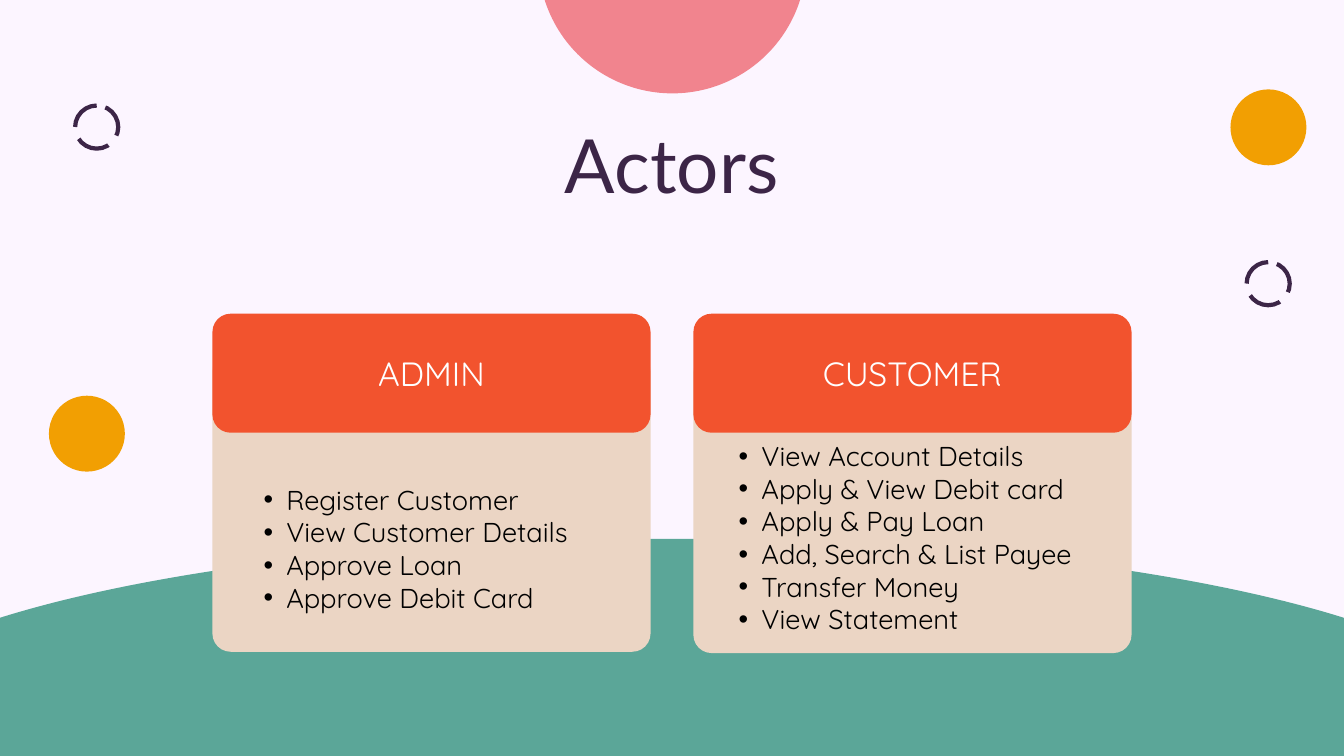
from lxml import etree
from pptx import Presentation, util as u
from pptx.dml.color import RGBColor
from pptx.enum import dml, shapes, text
from pptx.oxml.ns import qn

INK, CREAM, ORANGE, GREEN = "3C2547", "EBD5C4", "F2532E", "5BA698"
PINK, YELLOW, LILAC = "F1848E", "F29F02", "FCF5FF"
CORNER = 0.69


def paint(target, colour):
    """Give a fill or a line's fill one solid colour."""
    target.solid()
    target.fore_color.rgb = RGBColor.from_string(colour)


def place(box, left, top, width, height):
    box.left, box.top = u.Cm(left), u.Cm(top)
    box.width, box.height = u.Cm(width), u.Cm(height)


def add_filled(page, kind, bounds, colour):
    shape = page.shapes.add_shape(kind, *map(u.Cm, bounds))
    shape.shadow.inherit = False
    paint(shape.fill, colour)
    shape.line.fill.background()
    return shape


def add_circle(page, left, top, size, colour):
    add_filled(page, shapes.MSO_SHAPE.OVAL, (left, top, size, size), colour)


def add_ring(page, left, top, size):
    """Dashed circle whose dashes run anticlockwise from the top."""
    ring = page.shapes.add_shape(shapes.MSO_SHAPE.OVAL,
                                 *map(u.Cm, (left, top, size, size)))
    ring.shadow.inherit = False
    ring.fill.background()
    paint(ring.line.fill, INK)
    ring.line.width = u.Pt(4.5)
    ring.line.dash_style = dml.MSO_LINE.LONG_DASH
    ring.element.spPr.find(qn("a:xfrm")).set("flipH", "1")
    ring.rotation = 270


def add_panel(page, bounds, colour):
    panel = add_filled(page, shapes.MSO_SHAPE.ROUNDED_RECTANGLE, bounds, colour)
    panel.adjustments[0] = CORNER / bounds[3]
    return panel


def prepare_frame(box, anchor):
    frame = box.text_frame
    frame.word_wrap = True
    frame.auto_size = text.MSO_AUTO_SIZE.NONE
    frame.vertical_anchor = anchor
    frame.margin_left = frame.margin_right = 0
    frame.margin_top = frame.margin_bottom = 0
    return frame


def write(para, words, font, size, colour, spacing, align):
    para.alignment = align
    para.line_spacing = u.Pt(spacing)
    para.space_before = u.Pt(0)
    span = para.add_run()
    span.text = words
    span.font.name = font
    span.font.size = u.Pt(size)
    span.font.color.rgb = RGBColor.from_string(colour)


def add_bullet(para):
    para.level = 1
    props = para._p.get_or_add_pPr()
    props.set("marL", str(u.Cm(1.75)))
    props.set("indent", str(u.Cm(-0.86)))
    etree.SubElement(props, qn("a:buFont")).set("typeface", "Arial")
    etree.SubElement(props, qn("a:buChar")).set("char", "•")


def bring_to_front(box):
    box.element.getparent().append(box.element)


def fill_title(box, words):
    place(box, 4.7, 4.78, 41.38, 3.2)
    frame = prepare_frame(box, text.MSO_ANCHOR.TOP)
    write(frame.paragraphs[0], words, "Lato", 80, INK, 88, text.PP_ALIGN.CENTER)
    bring_to_front(box)


def add_actor_card(page, left, top, heading, body_drop, body, list_at, items):
    """Card with an orange heading and a list placed relative to its corner."""
    width = 16.56
    add_panel(page, (left, top + body_drop, width, 11.3), CREAM)
    header = add_panel(page, (left, top, width, 4.5), ORANGE)
    frame = prepare_frame(header, text.MSO_ANCHOR.MIDDLE)
    write(frame.paragraphs[0], heading, "Quicksand", 36, "FFFFFF", 43.2,
          text.PP_ALIGN.CENTER)

    indent, drop = list_at
    place(body, left + indent, top + drop, 14.91, 1.23 * len(items))
    frame = prepare_frame(body, text.MSO_ANCHOR.TOP)
    for index, item in enumerate(items):
        para = frame.add_paragraph() if index else frame.paragraphs[0]
        add_bullet(para)
        write(para, item, "Quicksand", 29.2, "000000", 35, text.PP_ALIGN.LEFT)
    bring_to_front(body)


def add_decorations(page):
    add_circle(page, 20.35, -6.6, 10.13, PINK)
    for left, top in ((1.85, 14.96), (46.51, 3.38)):
        add_circle(page, left, top, 2.87, YELLOW)
    for left, top in ((2.84, 3.99), (47.12, 9.91)):
        add_ring(page, left, top, 1.63)


def main():
    deck = Presentation()
    deck.slide_width, deck.slide_height = u.Cm(50.8), u.Cm(28.58)
    page = deck.slides.add_slide(deck.slide_layouts.get_by_name("Two Content"))
    paint(page.background.fill, LILAC)
    title, admin, customer = page.placeholders

    add_filled(page, shapes.MSO_SHAPE.OVAL, (-6.38, 20.37, 63.55, 14.96), GREEN)
    add_actor_card(page, 8.03, 11.86, "ADMIN", 1.48, admin, (1.04, 6.4), [
        "Register Customer", "View Customer Details",
        "Approve Loan", "Approve Debit Card"])
    add_actor_card(page, 26.21, 11.86, "CUSTOMER", 1.53, customer, (0.82, 4.75), [
        "View Account Details", "Apply & View Debit card", "Apply & Pay Loan",
        "Add, Search & List Payee", "Transfer Money", "View Statement"])
    fill_title(title, "Actors")
    add_decorations(page)
    deck.save("out.pptx")


if __name__ == "__main__":
    main()
